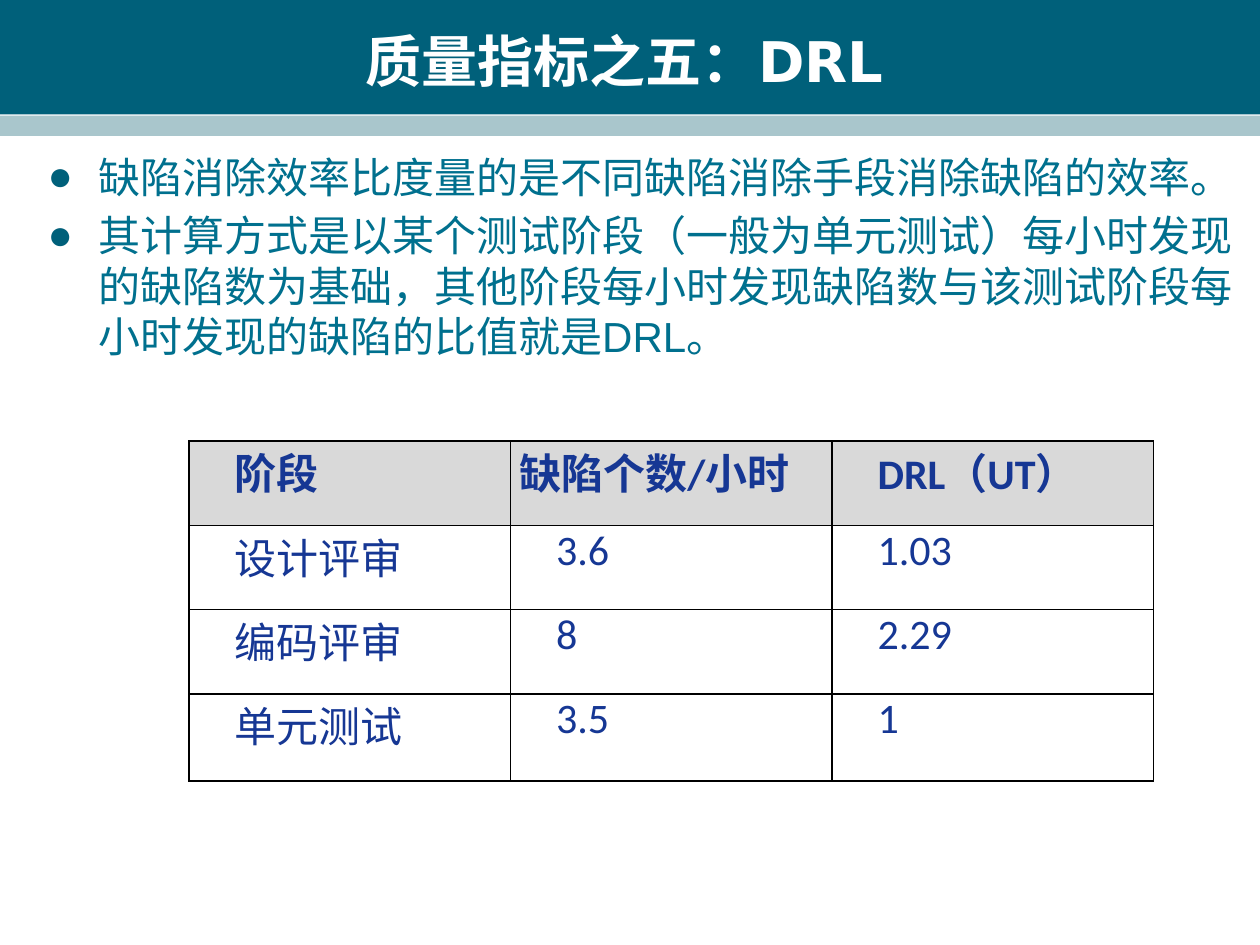
from lxml.etree import SubElement as Sub
from pptx import Presentation
from pptx.dml.color import RGBColor
from pptx.enum.shapes import MSO_SHAPE as Shape
from pptx.enum.text import MSO_ANCHOR as Anchor, PP_ALIGN as Align
from pptx.oxml.ns import qn
from pptx.util import Cm, Pt

TITLE = "质量指标之五：DRL"
POINTS = [
    "缺陷消除效率比度量的是不同缺陷消除手段消除缺陷的效率。",
    "其计算方式是以某个测试阶段（一般为单元测试）每小时发现的缺陷数为基础，"
    "其他阶段每小时发现缺陷数与该测试阶段每小时发现的缺陷的比值就是DRL。",
]
ROWS = [
    ("阶段", "缺陷个数/小时", "DRL（UT）"),
    ("设计评审", "3.6", "1.03"),
    ("编码评审", "8", "2.29"),
    ("单元测试", "3.5", "1"),
]
BANDS = [(0, 2.31, "00607A"), (2.33, 0.41, "A9C6CC")]  # top, height, colour
WIDE, TALL = 25.4, 19.05
COL = 6.48
HIGHS = [1.7, 1.7, 1.7, 1.75]


def color(code):
    return RGBColor.from_string(code)


def style(par, face, size, code, bold=False):
    for run in par.runs:
        font = run.font
        font.name, font.size, font.bold = face, Pt(size), bold
        font.color.rgb = color(code)


def indent(par, left, first):
    props = par._p.get_or_add_pPr()
    props.set("marL", str(Cm(left)))
    props.set("indent", str(Cm(first)))
    return props


def bullet(par, code):
    props = indent(par, 1.02, -1.02)
    Sub(Sub(props, qn("a:buClr")), qn("a:srgbClr"), val=code)
    Sub(props, qn("a:buFont"), typeface="Arial")
    Sub(props, qn("a:buChar"), char="●")


def border(cell, code):
    props = cell._tc.get_or_add_tcPr()
    for side in ("lnL", "lnR", "lnT", "lnB"):
        line = Sub(props, qn("a:" + side), w=str(Pt(1)))
        Sub(Sub(line, qn("a:solidFill")), qn("a:srgbClr"), val=code)


def add_box(slide, left, top, width, height):
    box = slide.shapes.add_textbox(Cm(left), Cm(top), Cm(width), Cm(height))
    box.text_frame.word_wrap = True
    return box.text_frame


def add_bands(slide):
    for top, height, code in BANDS:
        band = slide.shapes.add_shape(
            Shape.RECTANGLE, 0, Cm(top), Cm(WIDE), Cm(height))
        band.shadow.inherit = False
        band.fill.solid()
        band.fill.fore_color.rgb = color(code)
        band.line.fill.background()


def add_title(slide):
    frame = add_box(slide, 0.84, 0.43, 23.5, 1.57)
    frame.vertical_anchor = Anchor.MIDDLE
    frame.text = TITLE
    par = frame.paragraphs[0]
    par.alignment = Align.CENTER
    style(par, "DejaVu Sans", 32, "FFFFFF", True)


def add_points(slide):
    frame = add_box(slide, 0.71, 2.92, 24.49, 7.06)
    frame.text = "\n".join(POINTS)
    for i, par in enumerate(frame.paragraphs):
        bullet(par, "00607A")
        if i:
            par.space_before = Pt(4.8)
        style(par, "Arial", 24, "00708E")


def add_grid(slide):
    cols = len(ROWS[0])
    table = slide.shapes.add_table(
        len(ROWS), cols, Cm(3.81), Cm(8.89),
        Cm(COL * cols), Cm(sum(HIGHS))).table
    table.first_row = table.horz_banding = False
    for col in table.columns:
        col.width = Cm(COL)
    for r, (words, high) in enumerate(zip(ROWS, HIGHS)):
        table.rows[r].height = Cm(high)
        head = r == 0
        for c, word in enumerate(words):
            cell = table.cell(r, c)
            cell.margin_left = cell.margin_right = Cm(0.18)
            cell.margin_top = cell.margin_bottom = 0
            border(cell, "000000")
            if head:
                cell.fill.solid()
                cell.fill.fore_color.rgb = color("D9D9D9")
            else:
                cell.fill.background()
            cell.text_frame.text = word
            par = cell.text_frame.paragraphs[0]
            if not (head and c == 1):  # the widest heading needs the full cell
                indent(par, 0, 0.74)
            style(par, "Calibri", 24, "163794", head)


def main():
    deck = Presentation()
    deck.slide_width, deck.slide_height = Cm(WIDE), Cm(TALL)
    slide = deck.slides.add_slide(deck.slide_layouts[6])
    add_bands(slide)
    add_title(slide)
    add_points(slide)
    add_grid(slide)
    deck.save("out.pptx")


if __name__ == "__main__":
    main()
